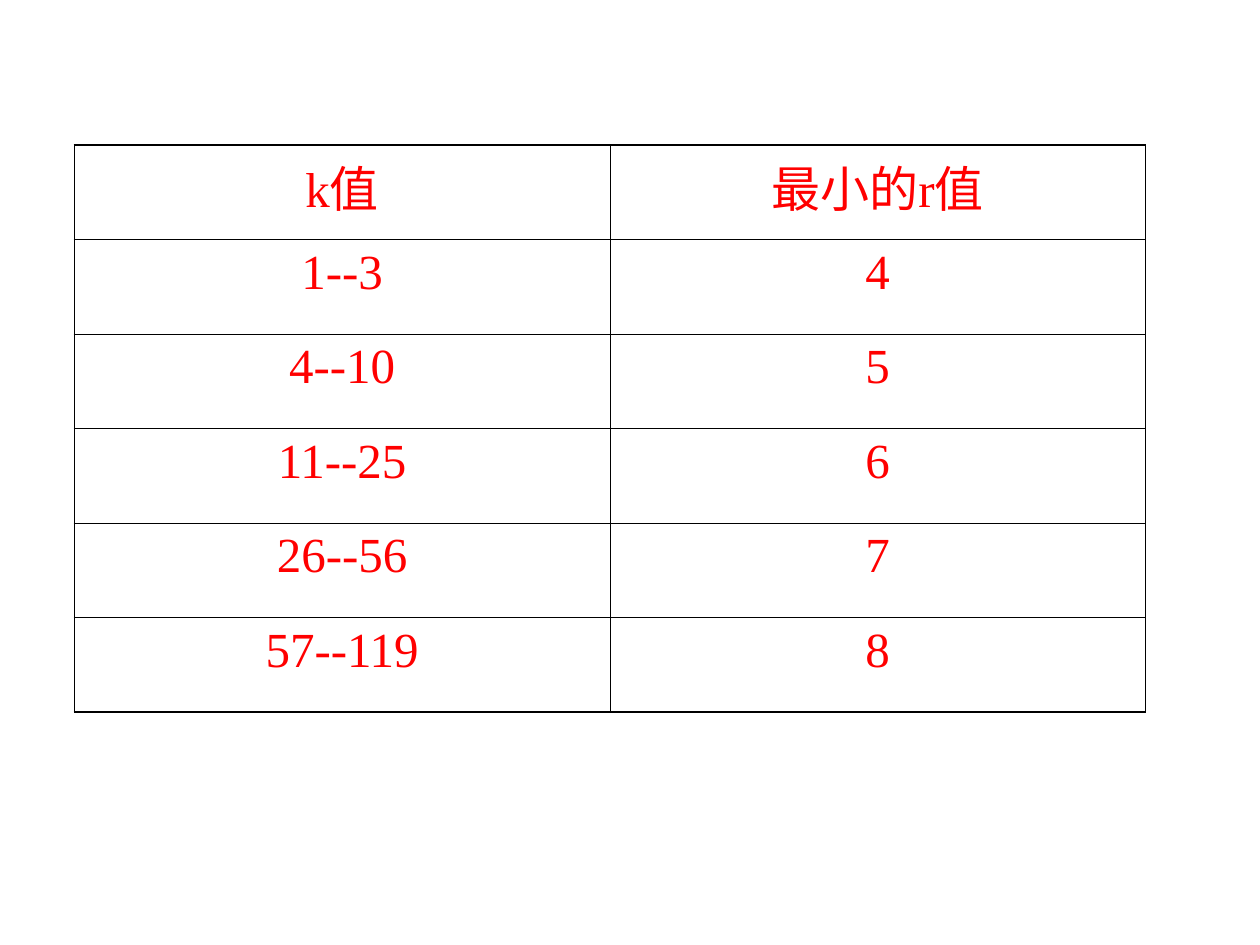
from lxml.etree import SubElement
from pptx import Presentation
from pptx.dml.color import RGBColor
from pptx.enum.text import PP_ALIGN
from pptx.oxml.ns import qn
from pptx.util import Inches, Pt


def color(hex_code):
    return RGBColor.from_string(hex_code)


def add_border(cell, side, width, hex_code):
    line = SubElement(cell._tc.get_or_add_tcPr(), qn(f"a:ln{side}"), w=str(Pt(width)))
    SubElement(SubElement(line, qn("a:solidFill")), qn("a:srgbClr"), val=hex_code)


OUTER, INNER = 1.08, 0.45
COLUMN, ROW = Inches(4.25), Inches(0.75)
bounds = [
    ("k值", "最小的r值"),
    ("1--3", "4"),
    ("4--10", "5"),
    ("11--25", "6"),
    ("26--56", "7"),
    ("57--119", "8"),
]
last_row, last_column = len(bounds) - 1, len(bounds[0]) - 1

deck = Presentation()
deck.slide_width, deck.slide_height = Inches(10), Inches(7.5)
slide = deck.slides.add_slide(deck.slide_layouts[6])

grid = slide.shapes.add_table(
    len(bounds), len(bounds[0]), Inches(0.59), Inches(1.15),
    COLUMN * len(bounds[0]), ROW * len(bounds),
).table
grid.first_row = False
grid.horz_banding = False
for column in grid.columns:
    column.width = COLUMN
for row in grid.rows:
    row.height = ROW

for r, values in enumerate(bounds):
    for c, value in enumerate(values):
        cell = grid.cell(r, c)
        edges = {"L": c == 0, "R": c == last_column, "T": r == 0, "B": r == last_row}
        for side, is_outer in edges.items():
            add_border(cell, side, OUTER if is_outer else INNER, "000000")
        cell.fill.background()
        cell.text = value
        entry = cell.text_frame.paragraphs[0]
        entry.alignment = PP_ALIGN.CENTER
        entry.font.name = "Times New Roman"
        entry.font.size = Pt(28)
        entry.font.color.rgb = color("FF0000")

deck.save("out.pptx")
